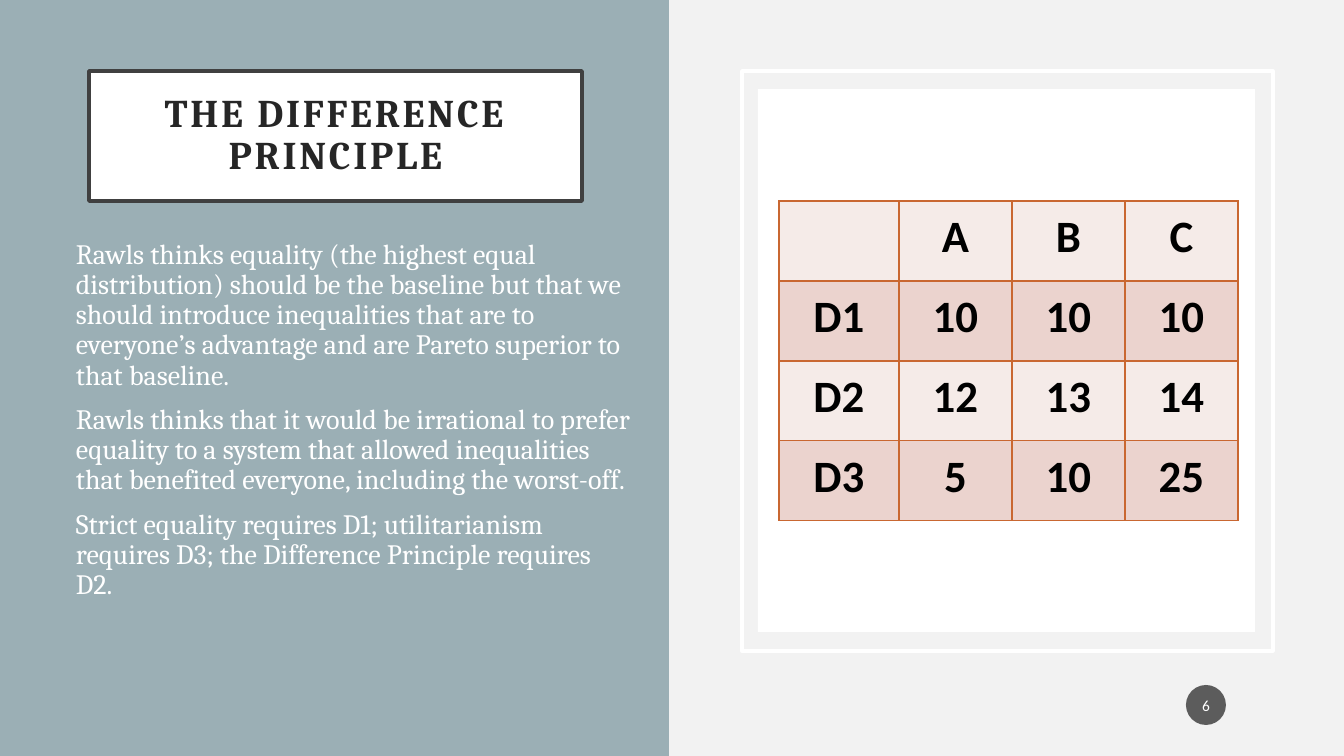
from lxml.etree import SubElement
from pptx import Presentation
from pptx.dml.color import RGBColor
from pptx.enum.shapes import MSO_SHAPE as Shape
from pptx.enum.text import MSO_ANCHOR as Anchor, MSO_AUTO_SIZE as AutoSize, PP_ALIGN as Align
from pptx.oxml import parse_xml
from pptx.oxml.ns import nsdecls, qn
from pptx.util import Pt

EMU_PER_PX = 914400 / 100.8
COLORS = {
    "background": "F2F2F2", "panel": "9BAFB5", "white": "FFFFFF",
    "title_line": "404040", "title_text": "262626", "badge": "1D1D1D",
    "black": "000000", "grid": "C96731", "light_row": "F5EBE8", "dark_row": "EBD3CE",
}
PARAGRAPHS = [
    "Rawls thinks equality (the highest equal distribution) should be the baseline but that we "
    "should introduce inequalities that are to everyone’s advantage and are Pareto superior to "
    "that baseline.",
    "Rawls thinks that it would be irrational to prefer equality to a system that allowed "
    "inequalities that benefited everyone, including the worst-off.",
    "Strict equality requires D1; utilitarianism requires D3; the Difference Principle requires D2.",
]
DISTRIBUTIONS = [
    ["", "A", "B", "C"],
    ["D1", "10", "10", "10"],
    ["D2", "12", "13", "14"],
    ["D3", "5", "10", "25"],
]


def px(*lengths):
    return [round(length * EMU_PER_PX) for length in lengths]


def paint(shape, fill=None, line=None):
    """Set fill and outline from color names; None leaves either one empty."""
    if fill:
        shape.fill.solid()
        shape.fill.fore_color.rgb = RGBColor.from_string(COLORS[fill])
    else:
        shape.fill.background()
    if line:
        shape.line.color.rgb = RGBColor.from_string(COLORS[line])
        shape.line.width = Pt(2.5)
    else:
        shape.line.fill.background()


presentation = Presentation()
presentation.slide_width, presentation.slide_height = px(1344, 756)
slide = presentation.slides.add_slide(presentation.slide_layouts[5])
slide.background.fill.solid()
slide.background.fill.fore_color.rgb = RGBColor.from_string(COLORS["background"])
shapes = slide.shapes

# Panels, frame and page badge
PANELS = [
    (Shape.RECTANGLE, (0, 0, 669, 756), "panel", None),
    (Shape.RECTANGLE, (742, 71, 531, 580), None, "white"),
    (Shape.RECTANGLE, (758, 89, 497, 543), "white", None),
    (Shape.OVAL, (1186, 685, 40, 40), "badge", None),
]
panels = []
for preset, box, fill, line in PANELS:
    panel = shapes.add_shape(preset, *px(*box))
    panel.shadow.inherit = False
    paint(panel, fill, line)
    panels.append(panel)
left_panel, badge = panels[0], panels[-1]

# Title in front of the left panel
title = shapes.title
left_panel._element.addnext(title._element)
title.left, title.top, title.width, title.height = px(89, 71, 493, 130)
paint(title, "white", "title_line")
frame = title.text_frame
frame.text = "THE DIFFERENCE PRINCIPLE"
frame.word_wrap = True
frame.auto_size = AutoSize.NONE
frame.vertical_anchor = Anchor.MIDDLE
frame.margin_left, frame.margin_top, frame.margin_right, frame.margin_bottom = px(20, 20, 20, 20)
paragraph = frame.paragraphs[0]
paragraph.alignment = Align.CENTER
paragraph.line_spacing = 0.9
font = paragraph.runs[0].font
font.name, font.size, font.bold = "Cambria", Pt(28), True
font.color.rgb = RGBColor.from_string(COLORS["title_text"])
paragraph.runs[0]._r.get_or_add_rPr().set("spc", "200")

# Body text
body = shapes.add_textbox(*px(41, 235, 602, 439))
frame = body.text_frame
frame.word_wrap = True
for index, text in enumerate(PARAGRAPHS):
    paragraph = frame.add_paragraph() if index else frame.paragraphs[0]
    paragraph.text = text
    paragraph.line_spacing = 0.9
    paragraph.space_before = Pt(10 if index else 0)
    paragraph._p.get_or_add_pPr().set("marL", str(px(25)[0]))
    font = paragraph.runs[0].font
    font.name, font.size = "Cambria", Pt(20)
    font.color.rgb = RGBColor.from_string(COLORS["white"])

# Distribution table
table = shapes.add_table(4, 4, *px(779, 201, 459, 320)).table
table.first_row = table.horz_banding = False
for column, width in zip(table.columns, px(120, 113, 113, 113)):
    column.width = width
for row_index, values in enumerate(DISTRIBUTIONS):
    table.rows[row_index].height = px(80)[0]
    for column_index, value in enumerate(values):
        cell = table.cell(row_index, column_index)
        cell.margin_left, cell.margin_top, cell.margin_right, cell.margin_bottom = px(18, 9, 18, 9)
        for side in ("lnL", "lnR", "lnT", "lnB"):
            cell._tc.get_or_add_tcPr().append(parse_xml(
                f'<a:{side} {nsdecls("a")} w="{Pt(1)}"><a:solidFill>'
                f'<a:srgbClr val="{COLORS["grid"]}"/></a:solidFill></a:{side}>'))
        cell.fill.solid()
        row_color = COLORS["dark_row" if row_index % 2 else "light_row"]
        cell.fill.fore_color.rgb = RGBColor.from_string(row_color)
        cell.text = value
        paragraph = cell.text_frame.paragraphs[0]
        paragraph.alignment = Align.CENTER
        for run in paragraph.runs:
            run.font.name, run.font.size, run.font.bold = "Calibri", Pt(32), True
            run.font.color.rgb = RGBColor.from_string(COLORS["black"])

# Page number
badge_color = badge._element.spPr.find(qn("a:solidFill")).find(qn("a:srgbClr"))
SubElement(badge_color, qn("a:alpha")).set("val", "70000")
frame = badge.text_frame
frame.text = "6"
frame.vertical_anchor = Anchor.MIDDLE
frame.margin_left, frame.margin_top, frame.margin_right, frame.margin_bottom = px(2, 5, 2, 5)
paragraph = frame.paragraphs[0]
paragraph.alignment = Align.CENTER
font = paragraph.runs[0].font
font.name, font.size = "Calibri", Pt(11)
font.color.rgb = RGBColor.from_string(COLORS["white"])

presentation.save("out.pptx")
